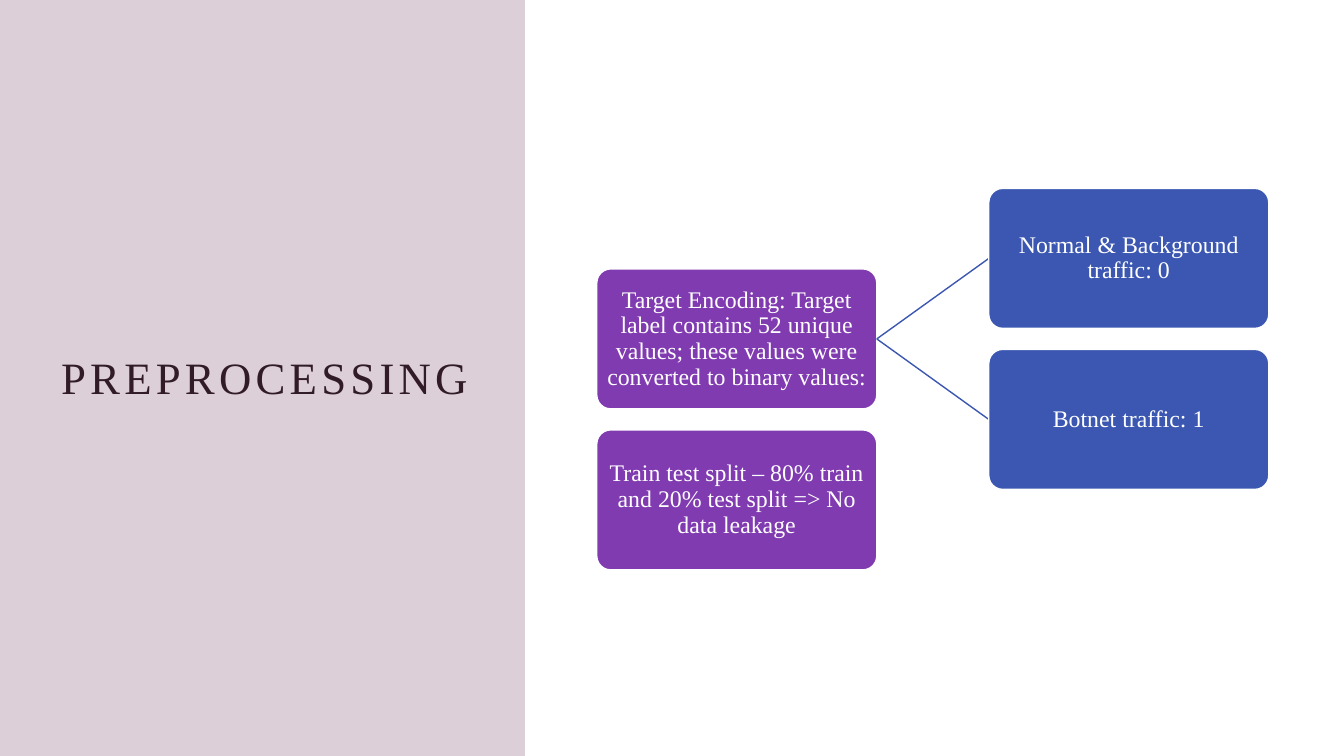
from pptx import Presentation
from pptx.dml.color import RGBColor
from pptx.enum.shapes import MSO_CONNECTOR as Connector, MSO_SHAPE as Shape
from pptx.enum.text import MSO_ANCHOR as Anchor, MSO_AUTO_SIZE as AutoSize, PP_ALIGN as Align
from pptx.oxml.ns import qn
from pptx.util import Pt
from lxml.etree import SubElement

SLIDE_W, SLIDE_H = 960, 540
FONT = "Times New Roman"
PURPLE, BLUE, WHITE = "813BB1", "3B57B1", "FFFFFF"
MAUVE, DARK = "764260", "301B27"
CARD_W, CARD_H = 200, 100
COLUMN_STEP, ROW_STEP = 280, 115

STEPS = [
    "Target Encoding: Target label contains 52 unique values; "
    "these values were converted to binary values:",
    "Train test split – 80% train and 20% test split => No data leakage",
]
CLASSES = ["Normal & Background traffic: 0", "Botnet traffic: 1"]


def color(hex_code):
    return RGBColor.from_string(hex_code)


def set_all(target, values):
    for name, value in values.items():
        setattr(target, name, value)


def write(holder, wording, size, ink, margin):
    """Write one centred paragraph into a shape and return its run."""
    frame = holder.text_frame
    set_all(frame, {"word_wrap": True, "auto_size": AutoSize.NONE,
                    "vertical_anchor": Anchor.MIDDLE}
            | {f"margin_{side}": Pt(margin) for side in ("left", "top", "right", "bottom")})
    paragraph = frame.paragraphs[0]
    set_all(paragraph, {"alignment": Align.CENTER, "line_spacing": 0.9})
    run = paragraph.add_run()
    run.text = wording
    set_all(run.font, {"name": FONT, "size": Pt(size)})
    run.font.color.rgb = color(ink)
    return run


def add_title_panel(slide, left, top, width, height):
    panel = slide.shapes.add_shape(Shape.RECTANGLE, Pt(left), Pt(top), Pt(width), Pt(height))
    panel.shadow.inherit = False
    panel.fill.solid()
    panel.fill.fore_color.rgb = color(MAUVE)
    fill_color = panel._element.spPr.find(qn("a:solidFill"))[0]
    SubElement(fill_color, qn("a:alpha"), val="25000")
    panel.line.fill.background()

    title = slide.shapes.title
    title._element.addprevious(panel._element)
    set_all(title, {"left": Pt(left + 20), "top": Pt(top + 55.5),
                    "width": Pt(width - 37), "height": Pt(432)})
    heading = write(title, "PREPROCESSING", 32, DARK, 5)
    heading._r.get_or_add_rPr().set("spc", "300")


def add_card(slide, left, top, wording, fill):
    card = slide.shapes.add_shape(Shape.ROUNDED_RECTANGLE,
                                  Pt(left), Pt(top), Pt(CARD_W), Pt(CARD_H))
    card.adjustments[0] = 0.1
    card.shadow.inherit = False
    card.fill.solid()
    card.fill.fore_color.rgb = color(fill)
    card.line.color.rgb = color(WHITE)
    card.line.width = Pt(1)
    write(card, wording, 17, WHITE, 0.75)


def add_branch(slide, start, end):
    branch = slide.shapes.add_connector(Connector.STRAIGHT, *map(Pt, start + end))
    branch.line.color.rgb = color(BLUE)
    branch.line.width = Pt(1)
    SubElement(branch._element.spPr, qn("a:effectLst"))


def add_encoding_tree(slide, left, top):
    """Stack the steps on the left and branch the first one to the classes."""
    steps_top = top + ROW_STEP / 2
    classes_left = left + COLUMN_STEP
    fork = (left + CARD_W, steps_top + CARD_H / 2)
    for row, step in enumerate(STEPS):
        add_card(slide, left, steps_top + row * ROW_STEP, step, PURPLE)
    for row, label in enumerate(CLASSES):
        class_top = top + row * ROW_STEP
        add_branch(slide, fork, (classes_left, class_top + CARD_H / 2))
        add_card(slide, classes_left, class_top, label, BLUE)


def main():
    deck = Presentation()
    set_all(deck, {"slide_width": Pt(SLIDE_W), "slide_height": Pt(SLIDE_H)})
    slide = deck.slides.add_slide(deck.slide_layouts[5])
    add_title_panel(slide, 0, 0, 375, SLIDE_H)
    add_encoding_tree(slide, 426.3, 134.6)
    deck.save("out.pptx")


if __name__ == "__main__":
    main()
